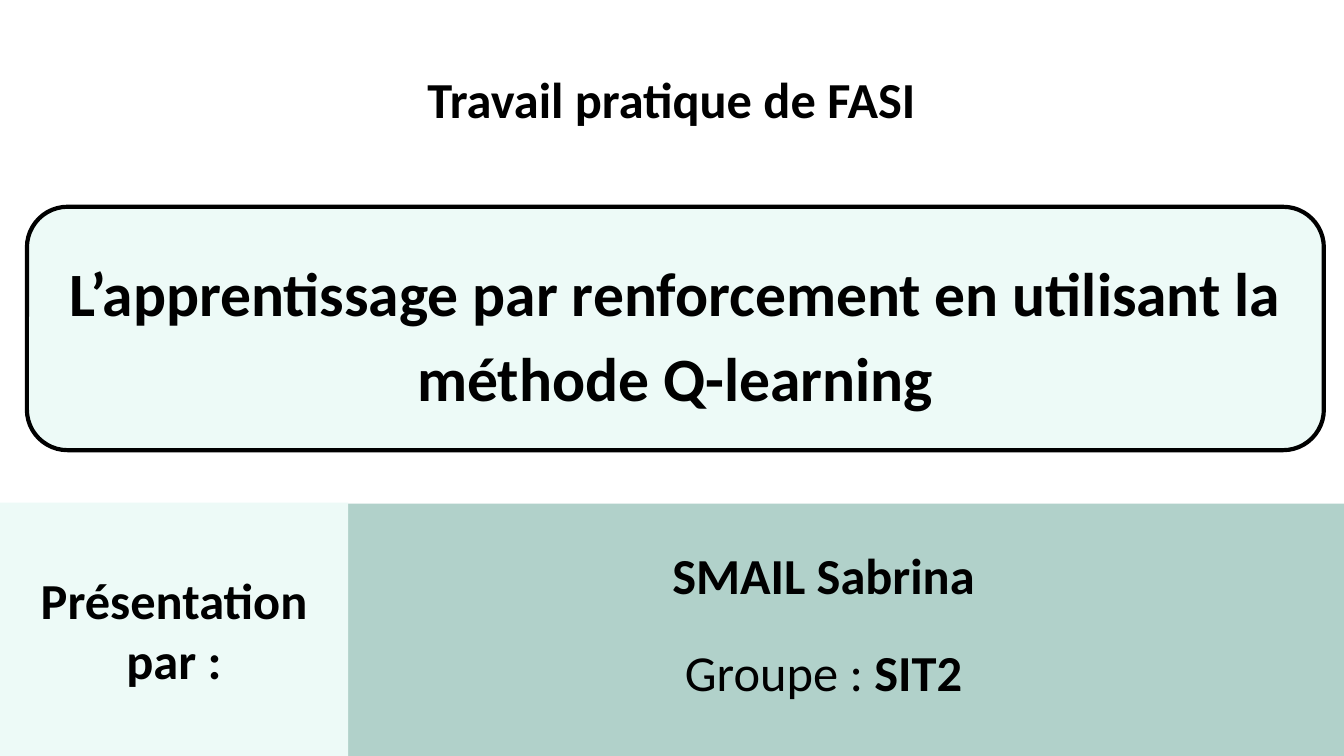
from pptx import Presentation
from pptx.dml.color import RGBColor
from pptx.enum import shapes, text
from pptx.util import Cm, Pt

BLACK = RGBColor(0x00, 0x00, 0x00)
WHITE = RGBColor(0xFF, 0xFF, 0xFF)
MINT = RGBColor(0xED, 0xFA, 0xF7)
SAGE = RGBColor(0xB1, 0xD1, 0xCA)
FONT = "Calibri"
WIDTH, HEIGHT = 25.4, 14.29
LABEL_TOP = 9.5

# Each paragraph is a list of (text, bold) runs.
COURSE = [[("Travail pratique de FASI", True)]]
TOPIC = [[("L’apprentissage par renforcement en utilisant la méthode Q-learning", True)]]
LABEL = [[("Présentation par :", True)]]
AUTHOR = [[("SMAIL Sabrina", True)], [("Groupe :", False), (" SIT2", True)]]


def add_panel(page, kind, area, fill, line_width=None):
    panel = page.shapes.add_shape(kind, *map(Cm, area))
    panel.shadow.inherit = False
    panel.fill.solid()
    panel.fill.fore_color.rgb = fill
    if line_width:
        panel.line.color.rgb = BLACK
        panel.line.width = Pt(line_width)
    else:
        panel.line.fill.background()
    return panel


def write(box, paragraphs, size=27, spacing=1.0, gap=0, anchor=text.MSO_ANCHOR.MIDDLE):
    """Fill a box with centred paragraphs, gap points apart."""
    frame = box.text_frame
    frame.word_wrap = True
    frame.vertical_anchor = anchor
    frame.margin_left = frame.margin_right = Cm(0.25)
    frame.margin_top = frame.margin_bottom = Cm(0.25)
    for index, runs in enumerate(paragraphs):
        para = frame.add_paragraph() if index else frame.paragraphs[0]
        para.alignment = text.PP_ALIGN.CENTER
        para.line_spacing = spacing
        para.space_before = Pt(gap if index else 0)
        for words, bold in runs:
            span = para.add_run()
            span.text = words
            span.font.name = FONT
            span.font.size = Pt(size)
            span.font.bold = bold
            span.font.color.rgb = BLACK


def main():
    deck = Presentation()
    deck.slide_width, deck.slide_height = Cm(WIDTH), Cm(HEIGHT)
    page = deck.slides.add_slide(deck.slide_layouts[6])
    page.background.fill.solid()
    page.background.fill.fore_color.rgb = SAGE

    rectangle = shapes.MSO_SHAPE.RECTANGLE
    add_panel(page, rectangle, (0, 0, WIDTH, 9.52), WHITE)

    course = page.shapes.add_textbox(Cm(0.97), Cm(0.76), Cm(23.44), Cm(2.21))
    write(course, COURSE)

    topic = add_panel(page, shapes.MSO_SHAPE.ROUNDED_RECTANGLE,
                      (0.51, 3.91, 24.51, 4.6), MINT, line_width=2.25)
    write(topic, TOPIC, size=33, spacing=1.15)

    label = add_panel(page, rectangle, (0, LABEL_TOP, 6.58, HEIGHT - LABEL_TOP), MINT)
    write(label, LABEL)

    author = page.shapes.add_textbox(Cm(9.09), Cm(10.26), Cm(12.95), Cm(3.28))
    write(author, AUTHOR, spacing=0.8, gap=26, anchor=text.MSO_ANCHOR.TOP)

    deck.save("out.pptx")


if __name__ == "__main__":
    main()
